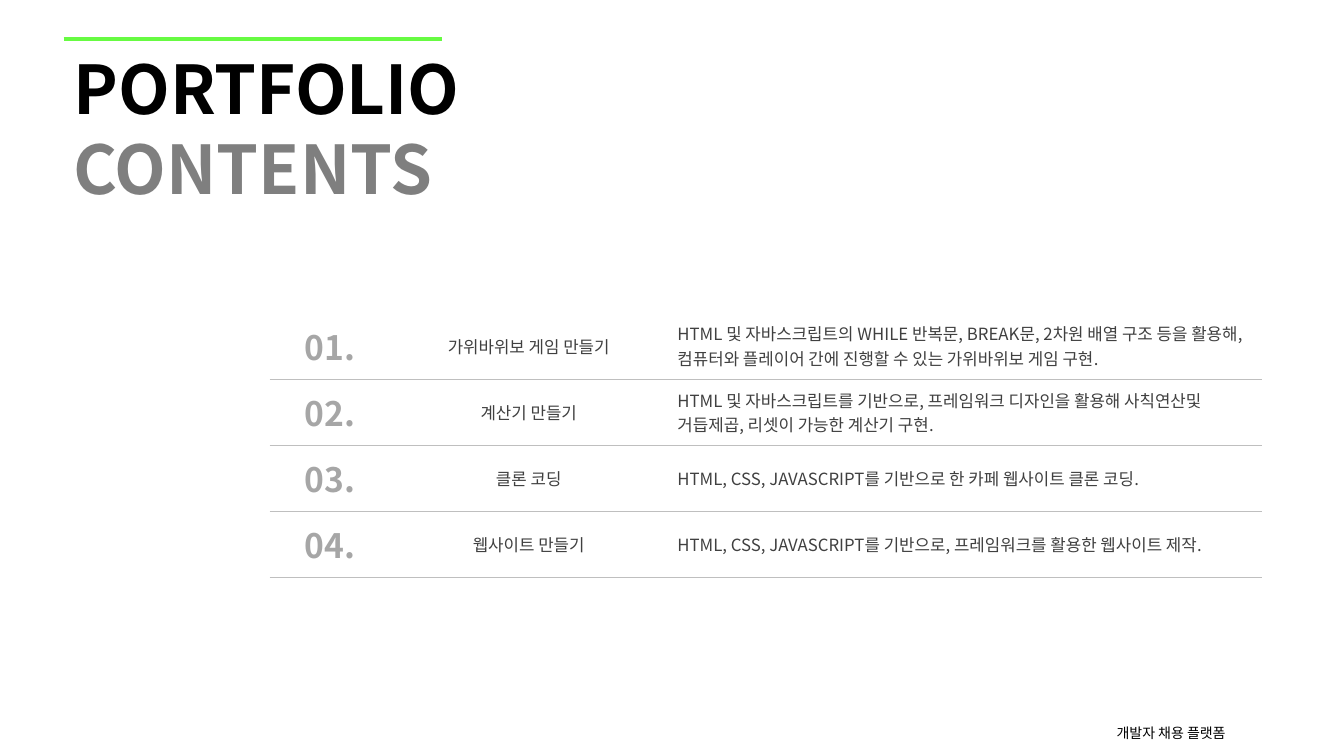
from lxml import etree
from pptx import Presentation
from pptx.dml.color import RGBColor
from pptx.enum import shapes, text
from pptx.oxml import ns
from pptx.util import Pt

FONT = "Noto Sans CJK KR"
BLACK = RGBColor(0x00, 0x00, 0x00)
GRAY = RGBColor(0x7F, 0x7F, 0x7F)
NUMBER_GRAY = RGBColor(0xA6, 0xA6, 0xA6)
BODY_GRAY = RGBColor(0x40, 0x40, 0x40)
RULE_GRAY = RGBColor(0xBF, 0xBF, 0xBF)
GREEN = RGBColor(0x67, 0xFB, 0x42)

NUMBER = {"size": Pt(24), "bold": True, "color": NUMBER_GRAY}
BODY = {"size": Pt(12), "bold": False, "color": BODY_GRAY}
COLUMNS = [
    (85.7, NUMBER, text.PP_ALIGN.CENTER),
    (198, BODY, text.PP_ALIGN.CENTER),
    (424, BODY, text.PP_ALIGN.LEFT),
]
ROW_HEIGHT = 47.3
PROJECTS = [
    ("가위바위보 게임 만들기",
     "HTML 및 자바스크립트의 WHILE 반복문, BREAK문, 2차원 배열 구조 등을 활용해, "
     "컴퓨터와 플레이어 간에 진행할 수 있는 가위바위보 게임 구현."),
    ("계산기 만들기",
     "HTML 및 자바스크립트를 기반으로, 프레임워크 디자인을 활용해 사칙연산및 거듭제곱, "
     "리셋이 가능한 계산기 구현."),
    ("클론 코딩", "HTML, CSS, JAVASCRIPT를 기반으로 한 카페 웹사이트 클론 코딩."),
    ("웹사이트 만들기", "HTML, CSS, JAVASCRIPT를 기반으로, 프레임워크를 활용한 웹사이트 제작."),
]


def add_run(paragraph, wording, style):
    """Add a run in the slide font, for Latin and Korean letters alike."""
    run = paragraph.add_run()
    run.text = wording
    run.font.name = FONT
    for attribute, value in style.items():
        if attribute == "color":
            run.font.color.rgb = value
        else:
            setattr(run.font, attribute, value)
    latin = run.font._element.find(ns.qn("a:latin"))
    east_asian = etree.Element(ns.qn("a:ea"), typeface=FONT)
    latin.addnext(east_asian)


def add_text(slide, left, top, width, height, runs, **frame_format):
    frame = slide.shapes.add_textbox(Pt(left), Pt(top), Pt(width), Pt(height)).text_frame
    frame.word_wrap = True
    for attribute, value in frame_format.items():
        setattr(frame, attribute, value)
    paragraph = frame.paragraphs[0]
    for wording, style in runs:
        add_run(paragraph, wording, style)
    return paragraph


def add_rule(slide, left, right, y, color, weight):
    rule = slide.shapes.add_connector(
        shapes.MSO_CONNECTOR.STRAIGHT, Pt(left), Pt(y), Pt(right), Pt(y))
    rule.line.color.rgb = color
    rule.line.width = Pt(weight)
    etree.SubElement(rule._element.spPr, ns.qn("a:effectLst"))


def border_cell(cell, sides, color, weight):
    """Draw the given sides, in the order lnT, lnB; borders must precede the fill."""
    properties = cell._tc.get_or_add_tcPr()
    for position, side in enumerate(sides):
        border = etree.Element(ns.qn(f"a:{side}"), w=str(Pt(weight)))
        fill = etree.SubElement(border, ns.qn("a:solidFill"))
        etree.SubElement(fill, ns.qn("a:srgbClr"), val=str(color))
        properties.insert(position, border)


def add_contents_table(slide, left, top):
    width = sum(column[0] for column in COLUMNS)
    table = slide.shapes.add_table(
        len(PROJECTS), len(COLUMNS), Pt(left), Pt(top),
        Pt(width), Pt(ROW_HEIGHT * len(PROJECTS))).table
    table.first_row = table.horz_banding = False
    for column, (column_width, _, _) in zip(table.columns, COLUMNS):
        column.width = Pt(column_width)
    for number, (row, project) in enumerate(zip(table.rows, PROJECTS), 1):
        row.height = Pt(ROW_HEIGHT)
        wordings = (f"{number:02}.", *project)
        sides = ["lnB"] if number == 1 else ["lnT", "lnB"]
        for cell, wording, (_, style, align) in zip(row.cells, wordings, COLUMNS):
            cell.fill.background()
            cell.vertical_anchor = text.MSO_ANCHOR.MIDDLE
            paragraph = cell.text_frame.paragraphs[0]
            paragraph.alignment = align
            add_run(paragraph, wording, style)
            border_cell(cell, sides, RULE_GRAY, 0.25)


def main():
    deck = Presentation()
    deck.slide_width, deck.slide_height = Pt(960), Pt(540)
    slide = deck.slides.add_slide(deck.slide_layouts[6])

    add_text(slide, 790.5, 514, 116.6, 20,
             [("개발자 채용 플랫폼", {"size": Pt(10), "color": BLACK})])
    heading = {"size": Pt(48), "bold": True}
    title = add_text(slide, 45.4, 30.2, 369.4, 124,
                     [("PORTFOLIO", {**heading, "color": BLACK}),
                      (" CONTENTS", {**heading, "color": GRAY})],
                     margin_top=Pt(4.3), margin_bottom=0)
    title.line_spacing = Pt(57)
    add_rule(slide, 45.4, 315.4, 27.6, GREEN, 3)
    add_contents_table(slide, 193, 223.3)

    deck.save("out.pptx")


if __name__ == "__main__":
    main()
